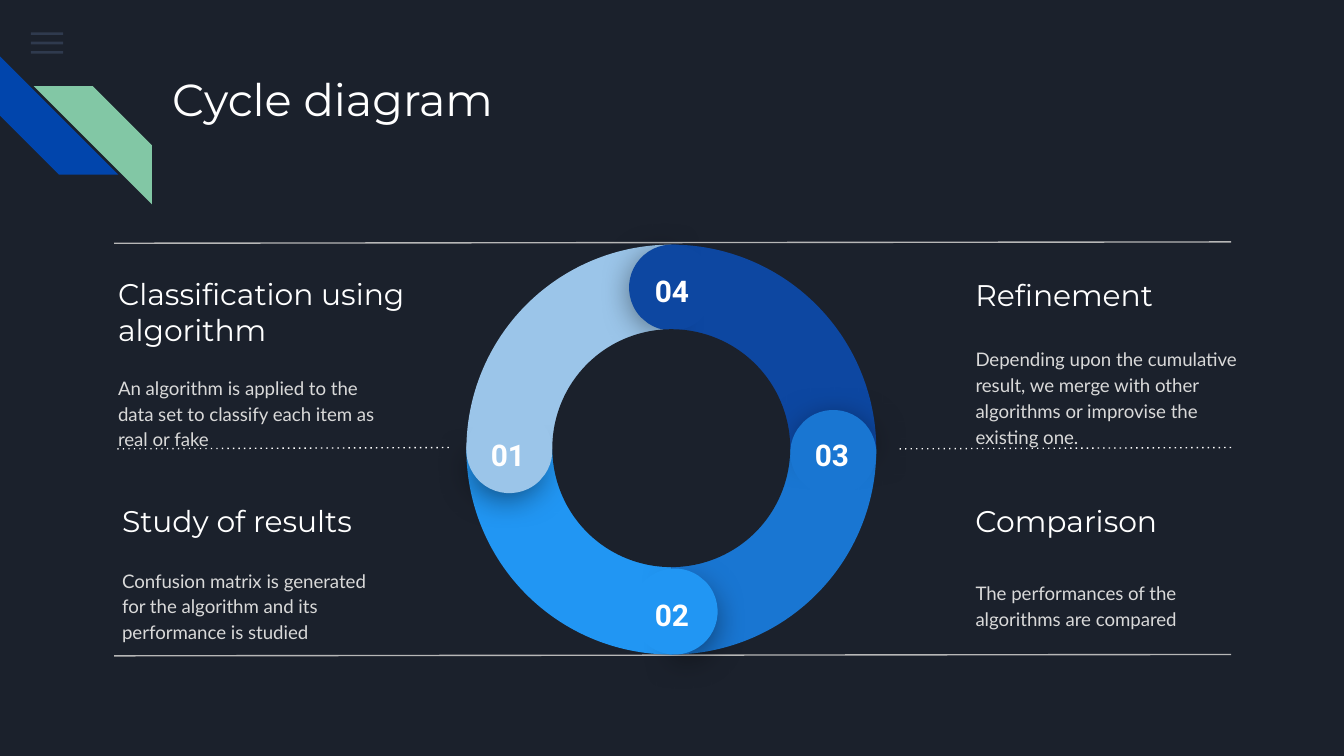
from dataclasses import dataclass

from lxml import etree
from pptx import Presentation
from pptx import util as u
from pptx.dml.color import RGBColor
from pptx.enum import dml, shapes, text
from pptx.oxml.ns import qn


@dataclass(frozen=True)
class Theme:
    background: str = "1B212C"
    white: str = "FFFFFF"
    body: str = "D9D9D9"
    rule: str = "B7B7B7"
    menu: str = "55688B"
    stripe_blue: str = "0145AC"
    stripe_green: str = "82C7A5"
    steps: tuple = ("9BC5E9", "2196F3", "1976D2", "0D47A1")
    title_size: int = 24
    heading_size: int = 16
    body_size: int = 10


theme = Theme()
Inches = u.Inches
kinds = shapes.MSO_SHAPE

prs = Presentation()
prs.slide_width = Inches(10)
prs.slide_height = Inches(10 * 9 / 16)
slide = prs.slides.add_slide(prs.slide_layouts[5])
slide.background.fill.solid()
slide.background.fill.fore_color.rgb = RGBColor.from_string(theme.background)


def add_filled(kind, left, top, width, height, color, rotation=0, adjustments=()):
    s = slide.shapes.add_shape(kind, Inches(left), Inches(top), Inches(width), Inches(height))
    s.shadow.inherit = False
    s.fill.solid()
    s.fill.fore_color.rgb = RGBColor.from_string(color)
    s.line.fill.background()
    s.rotation = rotation
    for i, value in enumerate(adjustments):
        s.adjustments[i] = value
    return s


def write_text(sp, content, font, size, color, anchor):
    tf = sp.text_frame
    tf.word_wrap = True
    tf.auto_size = text.MSO_AUTO_SIZE.NONE
    tf.vertical_anchor = anchor
    tf.margin_left = tf.margin_right = tf.margin_top = tf.margin_bottom = Inches(0.1)
    p = tf.paragraphs[0]
    p.alignment = text.PP_ALIGN.LEFT
    r = p.add_run()
    r.text = content
    r.font.name = font
    r.font.size = u.Pt(size)
    r.font.color.rgb = RGBColor.from_string(color)
    return p


for i in range(3):
    bar = add_filled(kinds.RECTANGLE, 0.23, 0.24 + 0.07 * i, 0.24, 0.02, theme.menu)
    bar_color = bar.element.spPr.find(qn("a:solidFill"))[0]
    etree.SubElement(bar_color, qn("a:alpha"), val="36000")

add_filled(kinds.DIAGONAL_STRIPE, 0, 0.42, 0.88, 0.88, theme.stripe_blue, 270, [0.5])
green_stripe = add_filled(kinds.DIAGONAL_STRIPE, 0.25, 0.64, 0.88, 0.88, theme.stripe_green, 0, [0.5])
green_stripe.element.spPr.find(qn("a:xfrm")).set("flipH", "1")

title = slide.shapes.title
title.left, title.top, title.width, title.height = Inches(1.18), Inches(0.43), Inches(7.7), Inches(1)
write_text(title, "Cycle diagram", "Montserrat", theme.title_size, theme.white, text.MSO_ANCHOR.TOP)

headings = [
    ("Classification using algorithm", 0.78, 2.07, 2.49),
    ("Study of results", 0.81, 3.63, 2.03),
    ("Refinement", 7.16, 1.95, 2.03),
    ("Comparison", 7.16, 3.63, 2.03),
]
for content, left, top, width in headings:
    box = slide.shapes.add_textbox(Inches(left), Inches(top), Inches(width), Inches(0.49))
    write_text(box, content, "Montserrat", theme.heading_size, theme.white, text.MSO_ANCHOR.MIDDLE)

descriptions = [
    ("An algorithm is applied to the data set to classify each item as real or fake", 0.78, 2.81, 2.12, 0.51),
    ("Confusion matrix is generated for the algorithm and its performance is studied", 0.81, 4.12, 2.18, 0.76),
    ("Depending upon the cumulative result, we merge with other algorithms or improvise the existing one.",
     7.16, 2.57, 2.18, 0.76),
    ("The performances of the algorithms are compared", 7.16, 4.12, 2.18, 0.76),
]
for content, left, top, width, height in descriptions:
    box = slide.shapes.add_textbox(Inches(left), Inches(top), Inches(width), Inches(height))
    p = write_text(box, content, "Lato", theme.body_size, theme.body, text.MSO_ANCHOR.MIDDLE)
    p.line_spacing = 1.15
    p.space_after = u.Pt(16)

dividers = [
    (9.16, 0.85, 1.8, theme.rule, False),
    (3.34, 0.85, 3.33, theme.white, True),
    (9.16, 6.67, 3.33, theme.white, True),
    (9.16, 0.85, 4.87, theme.rule, False),
]
for right, left, y, color, dotted in dividers:
    line = slide.shapes.add_connector(
        shapes.MSO_CONNECTOR.STRAIGHT, Inches(right), Inches(y), Inches(left), Inches(y + 0.01))
    line.line.width = u.Pt(0.75)
    line.line.color.rgb = RGBColor.from_string(color)
    if dotted:
        line.line.dash_style = dml.MSO_LINE.ROUND_DOT
        line.element.spPr.find(".//" + qn("a:prstDash")).set("val", "dot")
    etree.SubElement(line.element.spPr, qn("a:effectLst"))

for i in (0, 3, 2, 1):
    add_filled(kinds.PIE, 3.47, 1.82, 3.05, 3.05, theme.steps[i], -90 * i % 360, [107.96, 162.01])

half_disc = [189.54, 83.81]
steps = [
    ((3.48, 3.07), (3.47, 3.03), (3.5, 3.15), half_disc),
    ((4.74, 4.28), (4.7, 4.23), (4.72, 4.34), half_disc),
    ((5.93, 3.07), (5.88, 3.05), (5.91, 3.15), [196.87, 77.71]),
    ((4.7, 1.83), (4.68, 1.82), (4.72, 1.93), half_disc),
]
for i, (shade_at, cap_at, number_at, shade_arc) in enumerate(steps):
    color = theme.steps[i]
    turn = -90 * i
    shade = add_filled(kinds.PIE, *shade_at, 0.57, 0.57, color, (39.5 + turn) % 360, shade_arc)
    shadow = etree.SubElement(
        shade.element.spPr.find(qn("a:effectLst")), qn("a:outerShdw"),
        blurRad=str(u.Pt(18)), dist=str(u.Pt(4)), dir="5400000", algn="bl", rotWithShape="0")
    shadow_color = etree.SubElement(shadow, qn("a:srgbClr"), val="000000")
    etree.SubElement(shadow_color, qn("a:alpha"), val="55000")
    add_filled(kinds.CHORD, *cap_at, 0.64, 0.64, color, (4.1 + turn) % 360, [25.01, 18.12])
    left, top = number_at
    box = slide.shapes.add_textbox(Inches(left), Inches(top), Inches(0.56), Inches(0.29))
    p = write_text(box, f"{i + 1:02d}", "Roboto", theme.heading_size, theme.white, text.MSO_ANCHOR.TOP)
    p.alignment = text.PP_ALIGN.CENTER
    p.runs[0].font.bold = True

add_filled(kinds.OVAL, 4.11, 2.45, 1.77, 1.77, theme.background)

prs.save("out.pptx")
